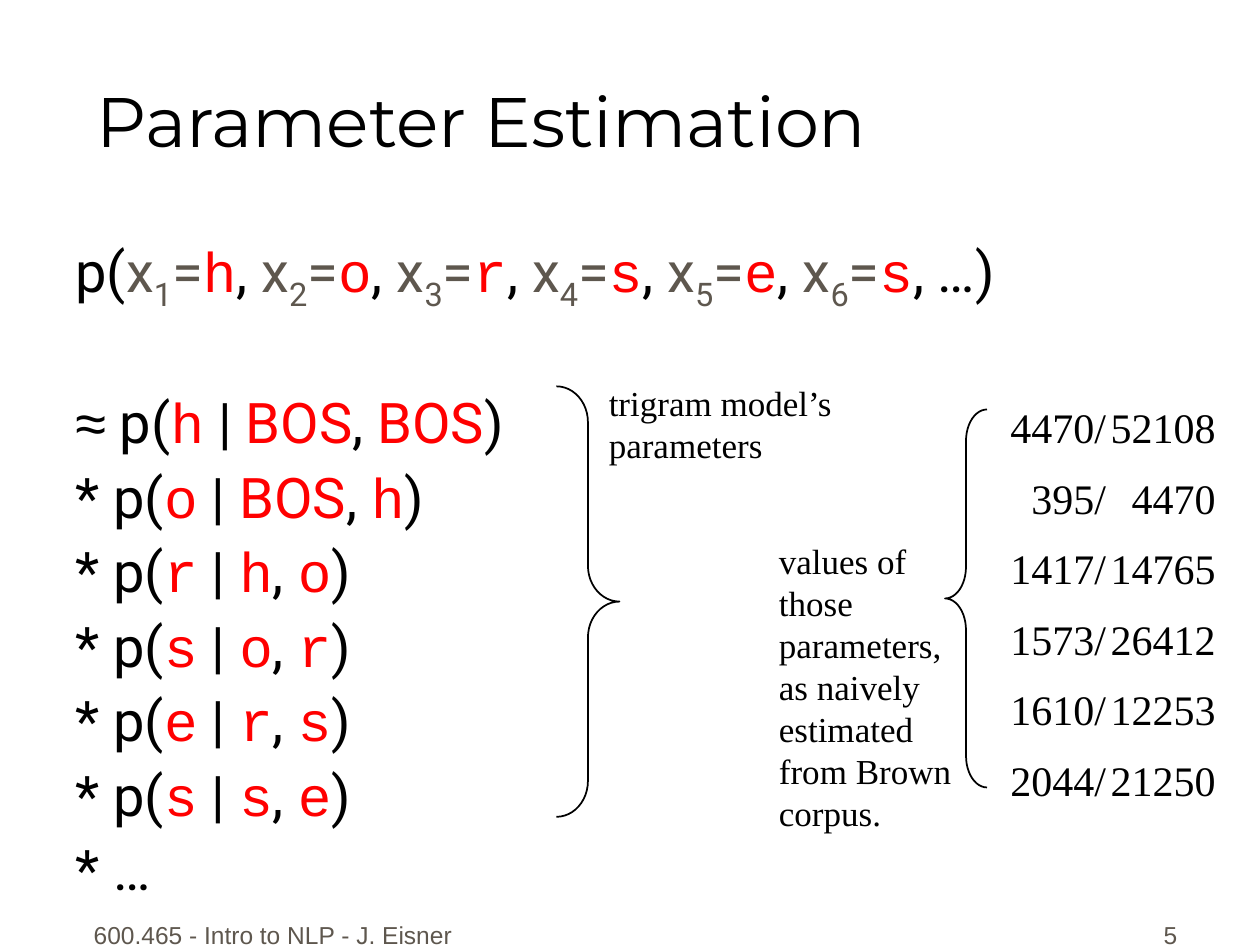
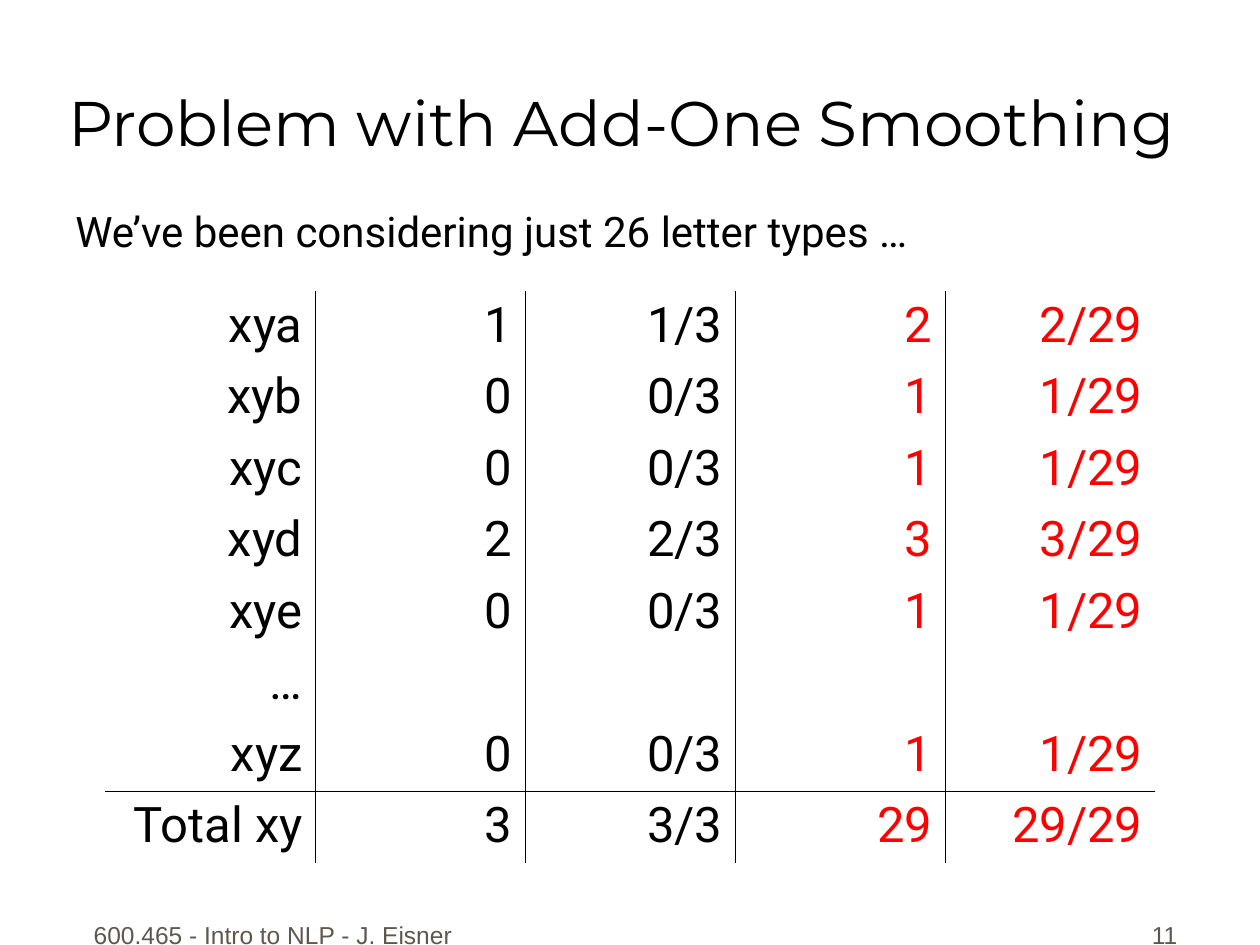
from dataclasses import dataclass, field

from lxml import etree
from pptx import Presentation
from pptx.dml.color import RGBColor
from pptx.enum.shapes import MSO_SHAPE
from pptx.enum.text import MSO_ANCHOR, PP_ALIGN
from pptx.oxml.ns import qn
from pptx.util import Emu, Inches, Pt

BLACK = RGBColor(0x00, 0x00, 0x00)
RED = RGBColor(0xFF, 0x00, 0x00)
TAUPE = RGBColor(0x5E, 0x57, 0x4E)

LEFT, MID, RIGHT = PP_ALIGN.LEFT, PP_ALIGN.CENTER, PP_ALIGN.RIGHT
TOP, BASE = MSO_ANCHOR.TOP, MSO_ANCHOR.BOTTOM
OPEN, CLOSE = MSO_SHAPE.LEFT_BRACE, MSO_SHAPE.RIGHT_BRACE

WIDE, HIGH = Inches(10), Inches(7.5)
UNIT = WIDE // 120  # the grid has 120 columns and 90 rows
NO_GRID = "{2D5ABB26-0587-4C30-8999-92F81FD0307C}"


@dataclass(frozen=True)
class Box:
    """Place on the grid, in columns and rows."""
    col: float
    row: float
    cols: float
    rows: float

    def emu(self) -> list[Emu]:
        return [Emu(round(n * UNIT)) for n in (self.col, self.row, self.cols, self.rows)]


@dataclass(frozen=True)
class Style:
    font: str
    size: int
    color: RGBColor = BLACK
    base: int = 0


@dataclass(frozen=True)
class Line:
    """One paragraph: its styled pieces and its format values."""
    runs: list[tuple[str, Style]]
    form: dict = field(default_factory=dict)
    tabs: tuple[float, ...] = ()


@dataclass(frozen=True)
class Brace:
    kind: MSO_SHAPE
    box: Box
    curl: float


INK = Style("Roboto", 32)
VAR = Style("Roboto", 32, TAUPE)
SUB = Style("Roboto", 32, TAUPE, -25000)
CHAR = Style("Courier New", 32, RED)
MARK = Style("Roboto", 32, RED)
SIGN = Style("Arial", 32)
FOOT = Style("Arial", 14, TAUPE)
NOTE = Style("Times New Roman", 20)
RATIO = Style("Times New Roman", 24)
LEAD = Style("Roboto", 24)

COURSE = "600.465 - Intro to NLP - J. Eisner"
FOOT_BOX = Box(7, 85, 38, 6)
PAGE_BOX = Box(88.3, 85, 25, 6)

WORD = "horses"
TERMS = [("h", "BOS", "BOS"), ("o", "BOS", "h"), ("r", "h", "o"),
         ("s", "o", "r"), ("e", "r", "s"), ("s", "s", "e")]
RATIOS = [(4470, 52108), (395, 4470), (1417, 14765),
          (1573, 26412), (1610, 12253), (2044, 21250)]
BRACES = [Brace(CLOSE, Box(53, 36.8, 6, 41), 0.57),
          Brace(OPEN, Box(90, 39, 4, 36), 0.75)]
NOTES = [
    (Box(56.8, 35.75, 23.8, 9.25), ["trigram model’s", "parameters"]),
    (Box(73, 50.75, 20, 29.25),
     ["values of", "those parameters, as naively estimated from Brown corpus."]),
]

GRID_BOX = Box(10, 27.7, 100, 54.4)
COUNTS = [
    ("xya", "1", "1/3", "2", "2/29"),
    ("xyb", "0", "0/3", "1", "1/29"),
    ("xyc", "0", "0/3", "1", "1/29"),
    ("xyd", "2", "2/3", "3", "3/29"),
    ("xye", "0", "0/3", "1", "1/29"),
    ("…", "", "", "", ""),
    ("xyz", "0", "0/3", "1", "1/29"),
    ("Total xy", "3", "3/3", "29", "29/29"),
]
SMOOTH_COL = 3


def put(item: object, form: dict) -> None:
    for name, value in form.items():
        setattr(item, name, value)


def write(frame, lines: list[Line]) -> None:
    """Fill a text frame, one paragraph a line."""
    for i, line in enumerate(lines):
        para = frame.paragraphs[0] if i == 0 else frame.add_paragraph()
        put(para, line.form)
        for text, style in line.runs:
            run = para.add_run()
            run.text = text
            put(run.font, {"name": style.font, "size": Pt(style.size)})
            run.font.color.rgb = style.color
            if style.base:
                run.font._element.set("baseline", str(style.base))
        if line.tabs:
            stops = etree.SubElement(para._p.get_or_add_pPr(), qn("a:tabLst"))
            for stop in line.tabs:
                etree.SubElement(stops, qn("a:tab"), pos=str(Inches(stop)), algn="r")


def add_text(slide, box: Box, lines: list[Line], anchor=TOP, wrap: bool = True) -> None:
    frame = slide.shapes.add_textbox(*box.emu()).text_frame
    put(frame, {"word_wrap": wrap, "vertical_anchor": anchor})
    write(frame, lines)


def add_page(deck, title: str, box: Box, size: int, page: int):
    """Start a slide with the shared footer, page number and title."""
    slide = deck.slides.add_slide(deck.slide_layouts[6])
    for place, text, side in ((FOOT_BOX, COURSE, MID), (PAGE_BOX, str(page), RIGHT)):
        add_text(slide, place, [Line([(text, FOOT)], {"alignment": side})], BASE)
    add_text(slide, box, [Line([(title, Style("Montserrat", size))])], BASE)
    return slide


def add_brace(slide, brace: Brace) -> None:
    shape = slide.shapes.add_shape(brace.kind, *brace.box.emu())
    shape.shadow.inherit = False
    shape.fill.background()
    shape.line.color.rgb = BLACK
    shape.line.width = Pt(1)
    shape.adjustments[0] = brace.curl


def joint() -> list[tuple[str, Style]]:
    """The joint probability of the letters of the word."""
    runs = [("p(", INK)]
    for i, char in enumerate(WORD, 1):
        runs += [("x", VAR), (str(i), SUB), ("=", VAR), (char, CHAR), (", ", INK)]
    return runs[:-1] + [(", …)", INK)]


def factor(first: bool, *parts: str) -> list[tuple[str, Style]]:
    """One conditional probability of the product."""
    runs = [("≈", SIGN), (" p(", INK)] if first else [("* p(", INK)]
    for part, after in zip(parts, (" | ", ", ", ")")):
        runs += [(part, CHAR if len(part) == 1 else MARK), (after, INK)]
    return runs


def edge(cell, sides: str) -> None:
    """Draw thin borders on the sides named by L, R, T, B."""
    props = cell._tc.get_or_add_tcPr()
    for i, side in enumerate(s for s in "LRTB" if s in sides):
        line = etree.Element(qn("a:ln" + side), w=str(Pt(0.45)))
        fill = etree.SubElement(line, qn("a:solidFill"))
        etree.SubElement(fill, qn("a:srgbClr"), val=str(BLACK))
        props.insert(i, line)


def add_counts(slide) -> None:
    rows, cols = len(COUNTS), len(COUNTS[0])
    table = slide.shapes.add_table(rows, cols, *GRID_BOX.emu()).table
    put(table, {"first_row": False, "horz_banding": False})
    table._tbl.tblPr.find(qn("a:tableStyleId")).text = NO_GRID
    for r, texts in enumerate(COUNTS):
        for c, text in enumerate(texts):
            cell = table.cell(r, c)
            cell.fill.background()
            if text:
                style = Style("Roboto", 28, RED if c >= SMOOTH_COL else BLACK)
                form = {"alignment": RIGHT, "space_before": Pt(7)}
                write(cell.text_frame, [Line([(text, style)], form)])
            sides = ("L" if c else "") + ("R" if c < cols - 1 else "")
            edge(cell, sides + {rows - 2: "B", rows - 1: "T"}.get(r, ""))


def estimate(deck) -> None:
    slide = add_page(deck, "Parameter Estimation", Box(8, 1, 107, 15), 40, 5)
    form = {"line_spacing": 0.9, "space_before": Pt(8)}
    lines = [Line(joint(), form)]
    for i, term in enumerate(TERMS):
        gap = {"space_before": Pt(51)} if i == 0 else {}
        lines.append(Line(factor(i == 0, *term), form | gap))
    lines.append(Line([("* …", INK)], form))
    add_text(slide, Box(6, 22, 107.3, 66), lines)
    add_text(slide, Box(93, 35.75, 27, 41.5),
             [Line([(f"\t{a}/\t{b}", RATIO)], {"line_spacing": 1.4}, (0.93, 1.8))
              for a, b in RATIOS])
    for brace in BRACES:
        add_brace(slide, brace)
    for i, (box, texts) in enumerate(NOTES):
        add_text(slide, box, [Line([(text, NOTE)]) for text in texts], wrap=i > 0)


def smooth(deck) -> None:
    slide = add_page(deck, "Problem with Add-One Smoothing",
                     Box(5.3, 0.75, 114.7, 15), 36, 11)
    add_counts(slide)
    lead = "We’ve been considering just 26 letter types …"
    add_text(slide, Box(6, 19, 114, 61),
             [Line([(lead, LEAD)], {"space_before": Pt(6)})])


def main() -> None:
    deck = Presentation()
    put(deck, {"slide_width": WIDE, "slide_height": HIGH})
    estimate(deck)
    smooth(deck)
    deck.save("out.pptx")


if __name__ == "__main__":
    main()
